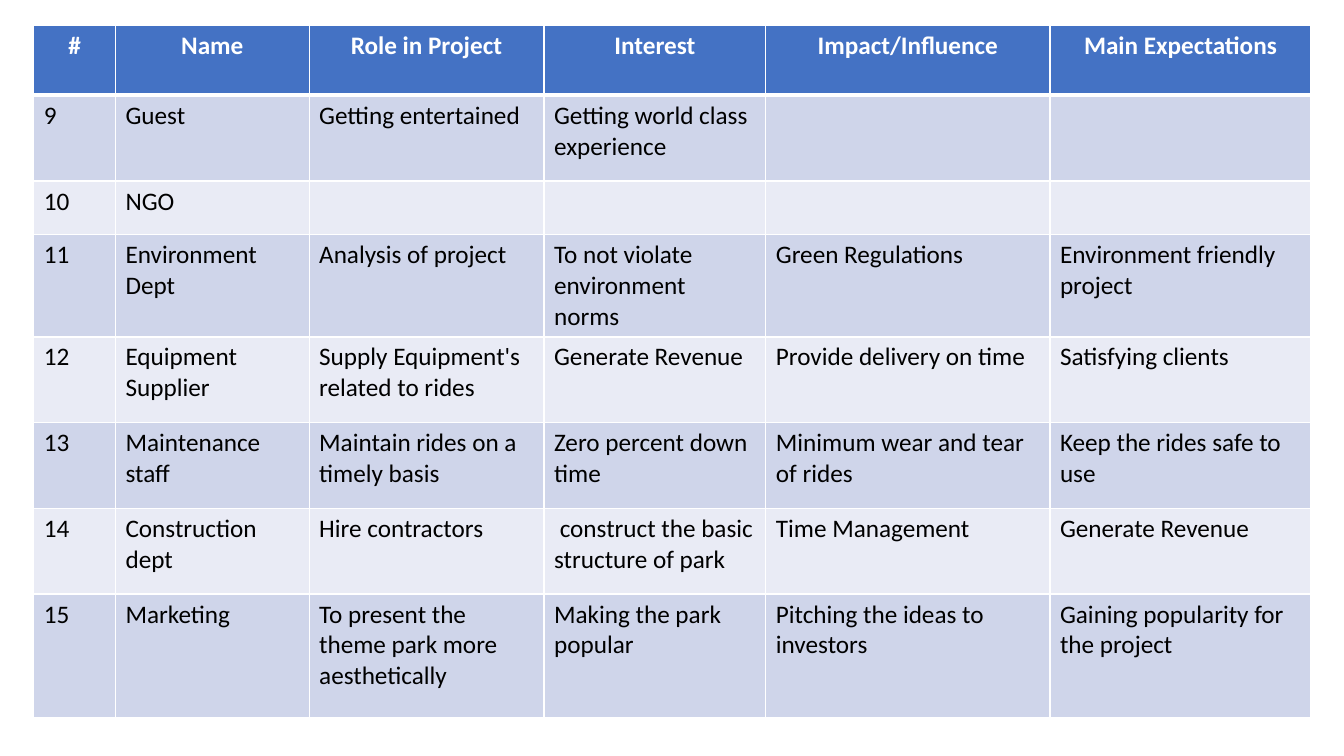
from lxml.etree import SubElement
from pptx import Presentation
from pptx.dml.color import RGBColor
from pptx.enum.text import PP_ALIGN as Align
from pptx.oxml.ns import qn
from pptx.util import Cm, Pt

WHITE = RGBColor(0xFF, 0xFF, 0xFF)
BLACK = RGBColor(0x00, 0x00, 0x00)
HEADER_BLUE = RGBColor(0x44, 0x72, 0xC4)
BAND_DARK = RGBColor(0xCF, 0xD5, 0xEA)
BAND_LIGHT = RGBColor(0xE9, 0xEB, 0xF5)

FONT = "Calibri"
THIN, THICK = Pt(1), Pt(3)
COLUMN_WIDTHS = [2.06, 4.88, 5.92, 5.59, 7.16, 6.58]
ROW_HEIGHTS = [1.75, 2.16, 1.35, 2.16, 2.16, 2.16, 2.16, 3.1]

STAKEHOLDERS = [
    ["#", "Name", "Role in Project", "Interest", "Impact/Influence", "Main Expectations"],
    ["9", "Guest", "Getting entertained", "Getting world class experience", "", ""],
    ["10", "NGO", "", "", "", ""],
    ["11", "Environment Dept", "Analysis of project", "To not violate environment norms",
     "Green Regulations", "Environment friendly project"],
    ["12", "Equipment Supplier", "Supply Equipment's related to rides", "Generate Revenue",
     "Provide delivery on time", "Satisfying clients"],
    ["13", "Maintenance staff", "Maintain rides on a timely basis", "Zero percent down time",
     "Minimum wear and tear of rides", "Keep the rides safe to use"],
    ["14", "Construction dept", "Hire contractors", " construct the basic structure of park",
     "Time Management", "Generate Revenue"],
    ["15", "Marketing", "To present the theme park more aesthetically",
     "Making the park popular", "Pitching the ideas to investors",
     "Gaining popularity for the project"],
]


def set_borders(cell, top, bottom):
    properties = cell._tc.get_or_add_tcPr()
    for side, width in (("L", THIN), ("R", THIN), ("T", top), ("B", bottom)):
        line = SubElement(properties, qn(f"a:ln{side}"), w=str(width))
        fill = SubElement(line, qn("a:solidFill"))
        SubElement(fill, qn("a:srgbClr"), val=str(WHITE))


def set_fill(cell, color):
    cell.fill.solid()
    cell.fill.fore_color.rgb = color


def write_text(cell, text, is_header):
    para = cell.text_frame.paragraphs[0]
    para.font.size = Pt(18)
    para.alignment = Align.CENTER if is_header else Align.LEFT
    if text:
        span = para.add_run()
        span.text = text
        span.font.name = FONT
        span.font.size = Pt(18)
        span.font.bold = is_header
        span.font.color.rgb = WHITE if is_header else BLACK


def add_stakeholder_table(page, left, top):
    frame = page.shapes.add_table(
        len(ROW_HEIGHTS), len(COLUMN_WIDTHS), left, top,
        Cm(sum(COLUMN_WIDTHS)), Cm(sum(ROW_HEIGHTS)))
    table = frame.table
    for column, width in zip(table.columns, COLUMN_WIDTHS):
        column.width = Cm(width)
    for index, (row, height, texts) in enumerate(zip(table.rows, ROW_HEIGHTS, STAKEHOLDERS)):
        row.height = Cm(height)
        is_header = index == 0
        band = BAND_DARK if index % 2 else BAND_LIGHT
        for cell, text in zip(row.cells, texts):
            set_borders(cell, THICK if index == 1 else THIN, THICK if is_header else THIN)
            set_fill(cell, HEADER_BLUE if is_header else band)
            write_text(cell, text, is_header)


def main():
    deck = Presentation()
    deck.slide_width = Cm(33.87)
    deck.slide_height = Cm(19.05)
    page = deck.slides.add_slide(deck.slide_layouts[6])
    add_stakeholder_table(page, Cm(0.85), Cm(0.65))
    deck.save("out.pptx")


if __name__ == "__main__":
    main()
